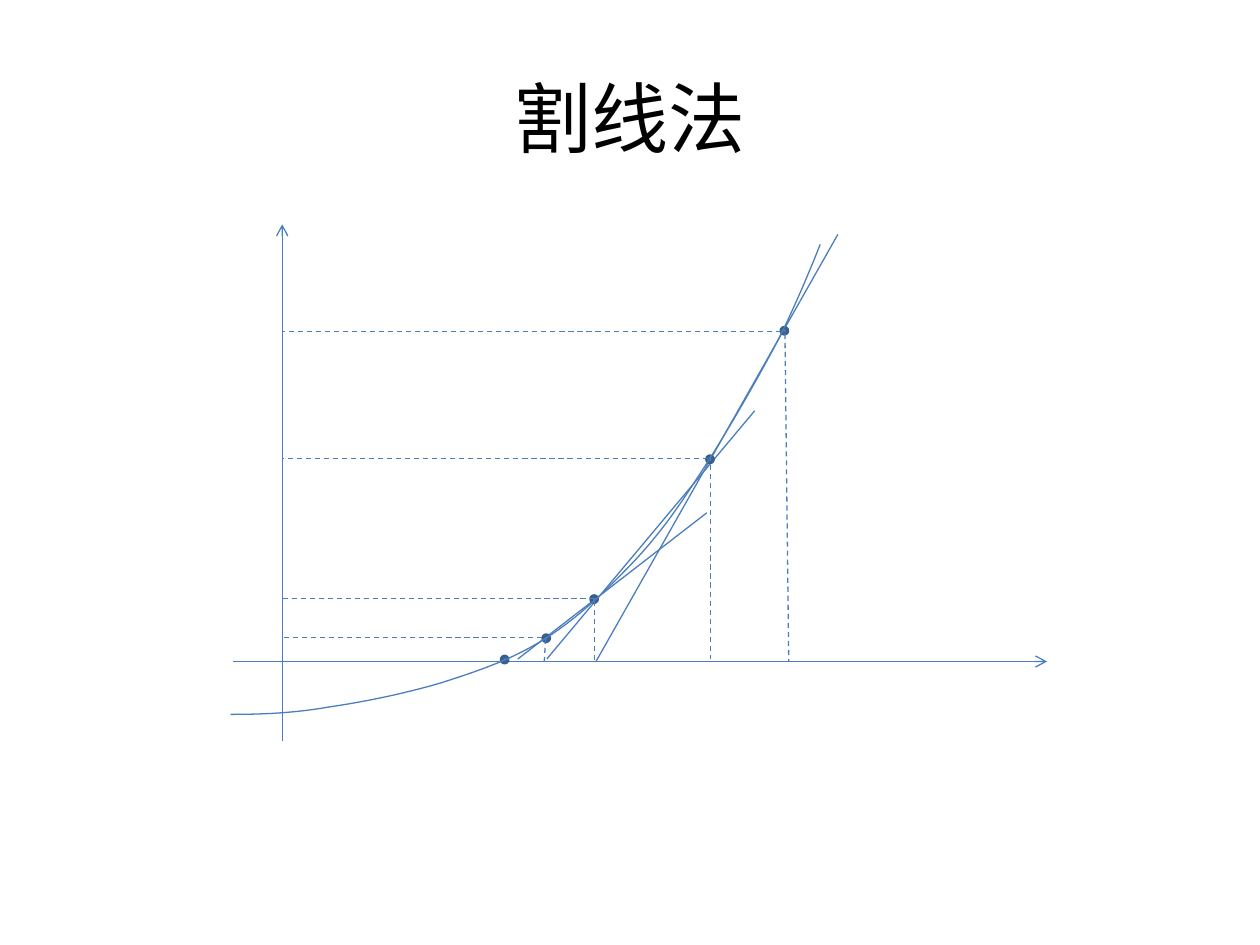
from lxml import etree
from pptx import Presentation
from pptx import util as u
from pptx.dml.color import RGBColor
from pptx.enum import dml, shapes, text
from pptx.oxml.ns import qn

HEX = {"ink": "000000", "line": "4B7EBC", "dot": "4F81BD", "rim": "3A5F8C"}
DOT = 0.05
BASE = 5.25   # height of the x axis
LEFT = 2.24   # place of the y axis

AXES = [(1.85, BASE, 8.31, BASE), (LEFT, 5.88, LEFT, 1.78)]
SECANTS = [(6.65, 1.86, 4.73, BASE), (5.99, 3.26, 4.34, 5.23),
           (5.61, 4.07, 4.11, 5.23)]
DROPS = [(5.64, 3.62, 5.64, 5.23), (4.72, 4.77, 4.72, 5.26),
         (4.33, 5.07, 4.32, BASE), (6.23, 2.65, 6.26, BASE)]
LEVELS = [(5.62, 3.64), (4.72, 4.75), (6.2, 2.63), (4.3, 5.06)]
DOTS = [(6.2, 2.6), (5.61, 3.62), (4.69, 4.73), (4.31, 5.04), (3.98, 5.21)]
START = (1.83, 5.67)
CURVE = [  # two control points and an end point for each piece
    ((2.09, 5.67), (2.34, 5.66), (2.62, 5.61)),
    ((2.9, 5.57), (3.23, 5.5), (3.5, 5.42)),
    ((3.78, 5.33), (4.02, 5.25), (4.26, 5.11)),
    ((4.5, 4.97), (4.73, 4.77), (4.94, 4.55)),
    ((5.15, 4.34), (5.31, 4.14), (5.51, 3.83)),
    ((5.72, 3.52), (6, 3.03), (6.17, 2.71)),
    ((6.33, 2.4), (6.51, 1.94), (6.51, 1.94)),
]


def color(name):
    return RGBColor.from_string(HEX[name])


def stroke(line, name="line", width=0.75):
    line.color.rgb = color(name)
    line.width = u.Pt(width)


def add_title(slide, words):
    box = slide.shapes.add_textbox(*map(u.Inches, (0.5, 0.3, 9, 1.25)))
    frame = box.text_frame
    frame.word_wrap = True
    frame.vertical_anchor = text.MSO_ANCHOR.MIDDLE
    para = frame.paragraphs[0]
    para.alignment = text.PP_ALIGN.CENTER
    run = para.add_run()
    run.text = words
    for key, value in {"name": "Calibri", "size": u.Pt(44)}.items():
        setattr(run.font, key, value)
    run.font.color.rgb = color("ink")


def add_line(slide, ends, dash=False, arrow=False):
    line = slide.shapes.add_connector(
        shapes.MSO_CONNECTOR.STRAIGHT, *map(u.Inches, ends))
    stroke(line.line)
    if dash:
        line.line.dash_style = dml.MSO_LINE.DASH
    if arrow:
        etree.SubElement(line.line._get_or_add_ln(), qn("a:tailEnd"),
                         type="arrow")
    etree.SubElement(line._element.spPr, qn("a:effectLst"))


def trace(start, pieces, steps=12):
    """Return points along a chain of cubic Bezier pieces."""
    points = [start]
    for one, two, end in pieces:
        for step in range(1, steps + 1):
            t = step / steps
            s = 1 - t
            points.append(tuple(
                s**3 * a + 3 * s * s * t * b + 3 * s * t * t * c + t**3 * d
                for a, b, c, d in zip(start, one, two, end)))
        start = end
    return points


def add_curve(slide):
    first, *rest = [(u.Inches(x), u.Inches(y)) for x, y in trace(START, CURVE)]
    form = slide.shapes.build_freeform(*first)
    form.add_line_segments(rest, close=False)
    curve = form.convert_to_shape()
    curve.shadow.inherit = False
    curve.fill.background()
    stroke(curve.line)


def add_dot(slide, x, y):
    dot = slide.shapes.add_shape(
        shapes.MSO_SHAPE.OVAL, *map(u.Inches, (x, y, DOT, DOT)))
    dot.shadow.inherit = False
    dot.fill.solid()
    dot.fill.fore_color.rgb = color("dot")
    stroke(dot.line, "rim", 2)


def main():
    deck = Presentation()
    deck.slide_width, deck.slide_height = u.Inches(10), u.Inches(7.5)
    slide = deck.slides.add_slide(deck.slide_layouts[6])
    add_title(slide, "割线法")
    for ends in AXES:
        add_line(slide, ends, arrow=True)
    for ends in SECANTS:
        add_line(slide, ends)
    for x, y in DOTS:
        add_dot(slide, x, y)
    add_curve(slide)
    for ends in DROPS + [(x, y, LEFT, y) for x, y in LEVELS]:
        add_line(slide, ends, dash=True)
    deck.save("out.pptx")


if __name__ == "__main__":
    main()
